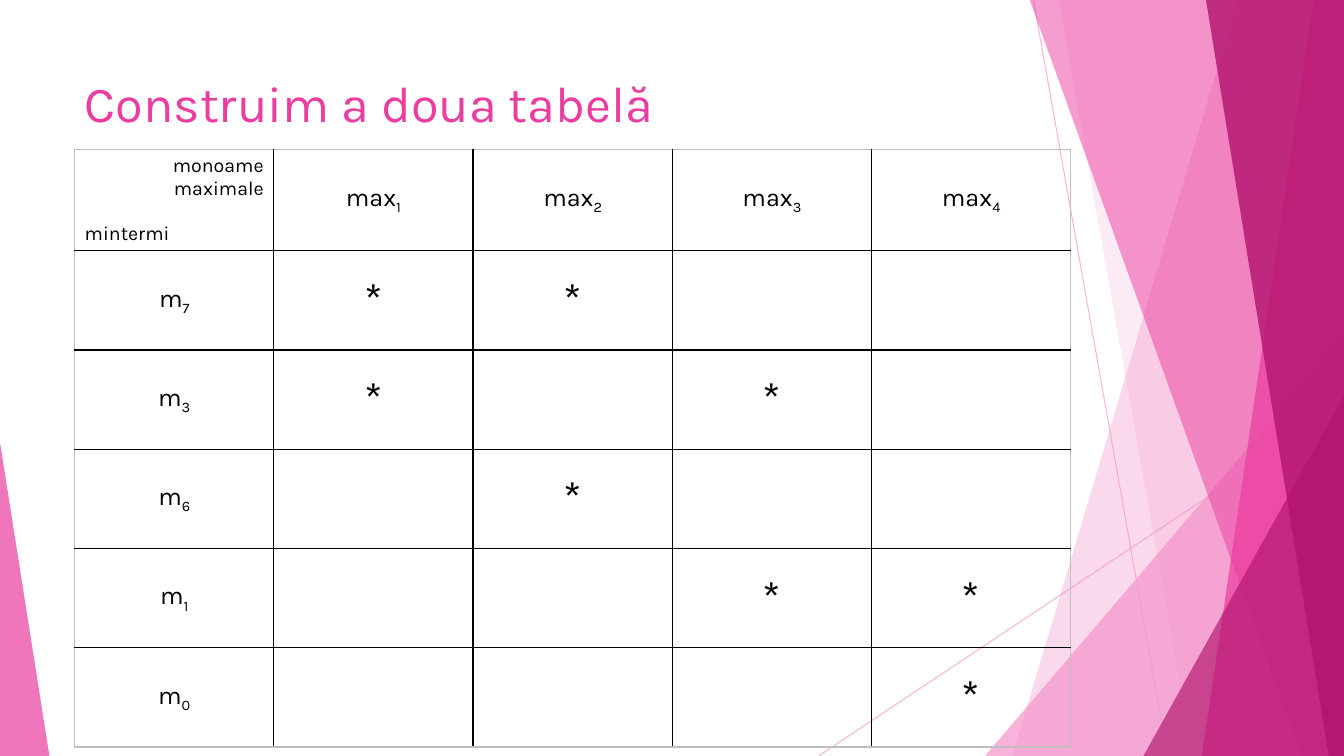
from dataclasses import dataclass

from lxml.etree import SubElement
from pptx import Presentation
from pptx.dml.color import RGBColor
from pptx.enum.shapes import MSO_CONNECTOR, MSO_SHAPE
from pptx.enum.text import MSO_ANCHOR, PP_ALIGN
from pptx.oxml.ns import qn
from pptx.util import Inches, Pt

FONT = "Karla"
LIGHT, PINK, DARK = "F496CB", "EB3D9F", "B2136D"
BLACK, GREY = "000000", "BFBFBF"
W, H, TOP = 13.33, 7.5, -0.01


@dataclass
class Ray:
    start: tuple[float, float]
    end: tuple[float, float]


@dataclass
class Band:
    """Sloping panel that runs to the right edge of the slide."""
    top_x: float
    bottom_x: float
    color: str
    alpha: int


@dataclass
class Corner:
    """Right triangle standing on the bottom edge; apex 0 is left, 1 right."""
    x: float
    y: float
    width: float
    apex: int
    color: str
    alpha: int


RAYS = [Ray((10.25, 0), (11.58, H)), Ray((W, 4.03), (8.12, H))]
DECOR = [
    Band(12.28, 10.04, LIGHT, 36),
    Band(10.5, 11.83, LIGHT, 20),
    Corner(9.77, 3.33, 3.56, 1, LIGHT, 72),
    Band(10.21, 12.91, PINK, 50),
    Band(13.03, 11.92, PINK, 70),
    Band(11.96, 13.18, DARK, 80),
    Corner(11.34, 3.93, 1.99, 1, DARK, 66),
    Corner(0, 4.39, 0.49, 0, PINK, 70),
]
# Each minterm index with the maximal monomials that cover it
MONOMIALS = [1, 2, 3, 4]
COVER = {7: {1, 2}, 3: {1, 3}, 6: {2}, 1: {3, 4}, 0: {4}}


def set_color(fmt, color: str, alpha: int = 100) -> None:
    fmt.solid()
    fmt.fore_color.rgb = RGBColor.from_string(color)
    if alpha < 100:
        clr = fmt._xPr.find(".//" + qn("a:srgbClr"))
        SubElement(clr, qn("a:alpha")).set("val", str(alpha * 1000))


def add_text(p, text: str, size: float = 18, color: str = BLACK,
             align=None, baseline: int = 0) -> None:
    r = p.add_run()
    r.text = text
    r.font.size, r.font.name = Pt(size), FONT
    r.font.color.rgb = RGBColor.from_string(color)
    if align is not None:
        p.alignment = align
    if baseline:
        r._r.get_or_add_rPr().set("baseline", str(baseline * 1000))


def add_ray(s, ray: Ray) -> None:
    points = [Inches(v) for v in (*ray.start, *ray.end)]
    line = s.shapes.add_connector(MSO_CONNECTOR.STRAIGHT, *points)
    line.line.width = Pt(0.75)
    set_color(line.line.fill, LIGHT, 70)
    SubElement(line._element.spPr, qn("a:effectLst"))


def add_decor(s, item: Band | Corner) -> None:
    if isinstance(item, Band):
        points = [(item.top_x, TOP), (W, TOP), (W, H), (item.bottom_x, H)]
        emu = [(Inches(x), Inches(y)) for x, y in points]
        fb = s.shapes.build_freeform(*emu[0])
        fb.add_line_segments(emu[1:], close=True)
        sp = fb.convert_to_shape()
    else:
        sp = s.shapes.add_shape(
            MSO_SHAPE.ISOSCELES_TRIANGLE, Inches(item.x), Inches(item.y),
            Inches(item.width), Inches(H - item.y))
        sp.adjustments[0] = item.apex
    sp.shadow.inherit = False
    sp.line.fill.background()
    set_color(sp.fill, item.color, item.alpha)


def set_borders(cell, colors: dict[str, str]) -> None:
    tcPr = cell._tc.get_or_add_tcPr()
    for side, color in colors.items():
        ln = SubElement(tcPr, qn("a:ln" + side), w=str(Pt(1)))
        fill = SubElement(ln, qn("a:solidFill"))
        SubElement(fill, qn("a:srgbClr"), val=color)
    cell.fill.background()


def add_label(cell, name: str, index: int) -> None:
    p = cell.text_frame.paragraphs[0]
    add_text(p, name, align=PP_ALIGN.CENTER)
    add_text(p, str(index), baseline=-25)


prs = Presentation()
prs.slide_width, prs.slide_height = Inches(W), Inches(H)
s = prs.slides.add_slide(prs.slide_layouts[5])

# Background decoration
for ray in RAYS:
    add_ray(s, ray)
for item in DECOR:
    add_decor(s, item)

# Title
title = s.shapes.title
title.left, title.top = Inches(0.74), Inches(0.67)
title.width, title.height = Inches(9.4), Inches(1.44)
tf = title.text_frame
tf.word_wrap = True
tf.vertical_anchor = MSO_ANCHOR.TOP
add_text(tf.paragraphs[0], "Construim a doua tabelă", size=36, color=PINK,
         align=PP_ALIGN.LEFT)

# Coverage table: black inner rules, grey frame
n_rows, n_cols = len(COVER) + 1, len(MONOMIALS) + 1
table = s.shapes.add_table(n_rows, n_cols, Inches(0.74), Inches(1.48),
                           Inches(9.88), Inches(5.91)).table
table.first_row = table.horz_banding = False
for i in range(n_rows):
    for j in range(n_cols):
        cell = table.cell(i, j)
        cell.vertical_anchor = MSO_ANCHOR.MIDDLE
        outer = {"L": j == 0, "R": j == n_cols - 1,
                 "T": i == 0, "B": i == n_rows - 1}
        set_borders(cell, {k: GREY if v else BLACK for k, v in outer.items()})

# Corner header
corner = table.cell(0, 0)
corner.vertical_anchor = MSO_ANCHOR.TOP
tf = corner.text_frame
add_text(tf.paragraphs[0], "monoame", size=14, align=PP_ALIGN.RIGHT)
add_text(tf.add_paragraph(), "maximale", size=14, align=PP_ALIGN.RIGHT)
p = tf.add_paragraph()
p.space_before = Pt(16.4)
add_text(p, "mintermi", size=14, align=PP_ALIGN.LEFT)

# Headers and marks
for j, monomial in enumerate(MONOMIALS, 1):
    add_label(table.cell(0, j), "max", monomial)
for i, (minterm, covered_by) in enumerate(COVER.items(), 1):
    add_label(table.cell(i, 0), "m", minterm)
    for j, monomial in enumerate(MONOMIALS, 1):
        if monomial in covered_by:
            add_text(table.cell(i, j).text_frame.paragraphs[0], "*", size=32,
                     align=PP_ALIGN.CENTER)

prs.save("out.pptx")
